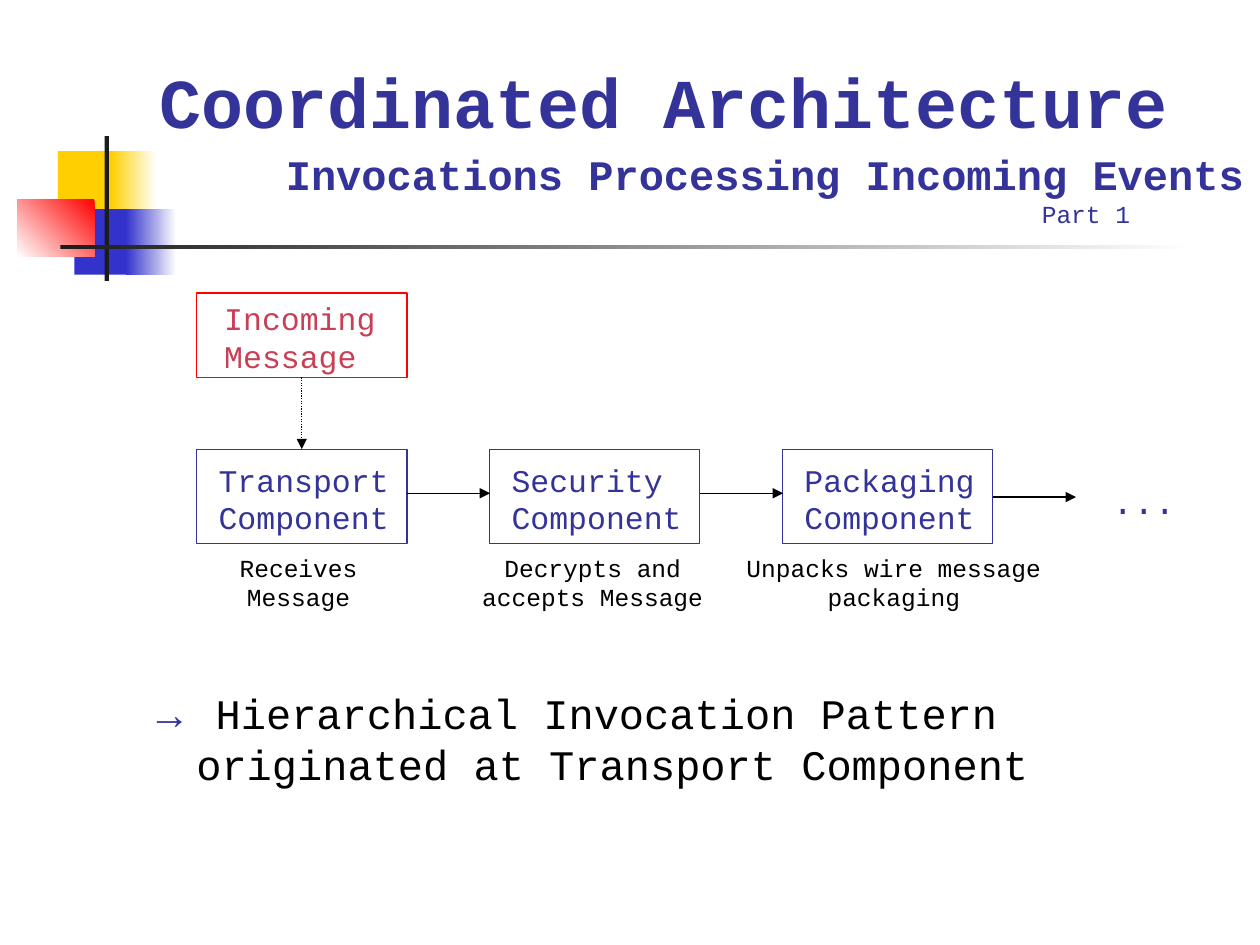
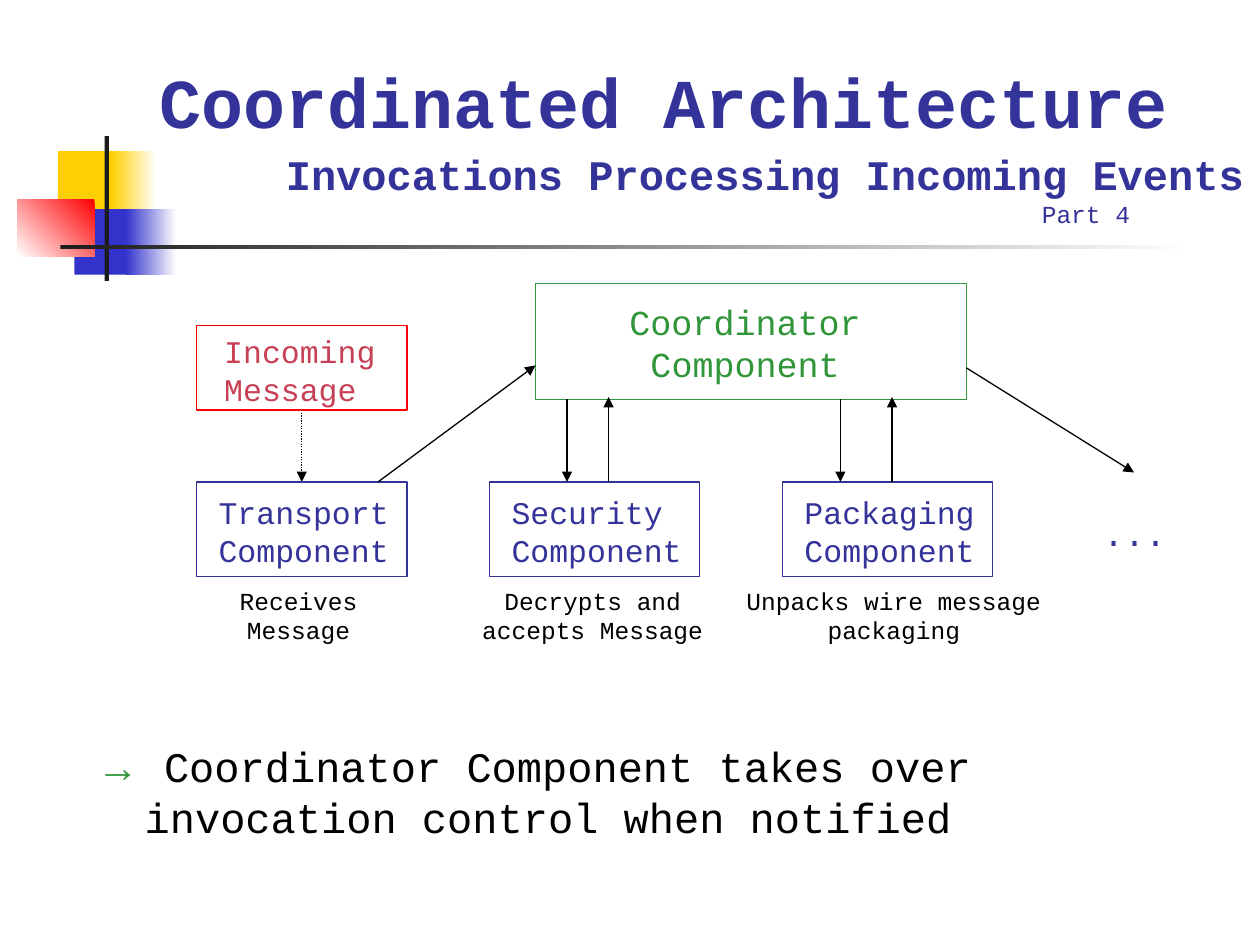
"""Build two slides on invocation processing in a coordinated architecture."""
from dataclasses import dataclass

from lxml import etree
from pptx import Presentation
from pptx import util as u
from pptx.dml.color import RGBColor
from pptx.enum import dml, shapes, text
from pptx.oxml import ns


@dataclass(frozen=True)
class Theme:
    mono: str = "Courier New"
    sans: str = "Arial"
    navy: str = "333399"
    blue: str = "3333CC"
    yellow: str = "FFCF01"
    red: str = "FF0000"
    rose: str = "C84056"
    green: str = "31953A"
    black: str = "000000"
    dark: str = "1C1C1C"
    white: str = "FFFFFF"
    title: int = 40
    body: int = 24
    large: int = 20
    label: int = 18
    small: int = 14
    stroke: float = 0.75


theme = Theme()
deck = Presentation()
deck.slide_width, deck.slide_height = u.Inches(10), u.Inches(7.5)
COL, ROW = deck.slide_width / 100, deck.slide_height / 75


def block(slide, box, paragraphs=(), fill=None, outline=None, insets=(1, 0.5, 1, 0.3),
          anchor=text.MSO_ANCHOR.BOTTOM, align=text.PP_ALIGN.LEFT):
    """Place a box in grid units; fill is (colour, end colour, angle), a run is (text, size, colour, bold, font)."""
    left, top, width, height = box
    place = [int(n) for n in (left * COL, top * ROW, width * COL, height * ROW)]
    if fill or outline:
        shape = slide.shapes.add_shape(shapes.MSO_SHAPE.RECTANGLE, *place)
        shape.shadow.inherit = False
    else:
        shape = slide.shapes.add_textbox(*place)
    if fill and fill[1]:
        shape.fill.gradient()
        shape.fill.gradient_angle = fill[2]
        for stop, colour in zip(shape.fill.gradient_stops, fill):
            stop.color.rgb = RGBColor.from_string(colour)
    elif fill:
        shape.fill.solid()
        shape.fill.fore_color.rgb = RGBColor.from_string(fill[0])
    else:
        shape.fill.background()
    if outline:
        shape.line.color.rgb = RGBColor.from_string(outline)
        shape.line.width = u.Pt(theme.stroke)
    else:
        shape.line.fill.background()
    frame = shape.text_frame
    frame.word_wrap, frame.vertical_anchor = True, anchor
    frame.margin_left, frame.margin_right = int(insets[0] * COL), int(insets[2] * COL)
    frame.margin_top, frame.margin_bottom = int(insets[1] * ROW), int(insets[3] * ROW)
    for index, runs in enumerate(paragraphs):
        paragraph = frame.add_paragraph() if index else frame.paragraphs[0]
        paragraph.alignment = align
        for words, size, colour, bold, font in runs:
            run = paragraph.add_run()
            run.text = words
            run.font.name, run.font.size, run.font.bold = font, u.Pt(size), bold
            run.font.color.rgb = RGBColor.from_string(colour)
    return frame


def arrow(slide, start, end, dotted=False):
    """Draw an arrow between two grid points."""
    ends = [int(n) for x, y in (start, end) for n in (x * COL, y * ROW)]
    connector = slide.shapes.add_connector(shapes.MSO_CONNECTOR.STRAIGHT, *ends)
    connector.line.color.rgb = RGBColor.from_string(theme.black)
    connector.line.width = u.Pt(theme.stroke)
    if dotted:
        connector.line.dash_style = dml.MSO_LINE.ROUND_DOT
    properties = connector._element.spPr
    etree.SubElement(properties.find(ns.qn("a:ln")), ns.qn("a:tailEnd"), type="triangle")
    etree.SubElement(properties, ns.qn("a:effectLst"))


ornaments = [
    ((4.6, 12, 4.8, 5.2), (theme.yellow, None, 0)),
    ((8.8, 12, 3.6, 5.2), (theme.yellow, theme.white, 0)),
    ((5.9, 16.6, 4.6, 5.2), (theme.blue, None, 0)),
    ((10, 16.6, 4, 5.2), (theme.blue, theme.white, 0)),
    ((1.4, 15.8, 6.1, 4.6), (theme.red, theme.white, 225)),
    ((8.3, 10.8, 0.35, 11.5), (theme.dark, None, 0)),
    ((4.8, 19.45, 90, 0.35), (theme.dark, theme.white, 0)),
]
components = [
    ("Transport Component", "Receives Message", 15.8, 15.8),
    ("Security Component", "Decrypts and accepts Message", 35.4, 23.3),
    ("Packaging Component", "Unpacks wire message packaging", 57.6, 26.7),
]
first_column, column_step = 15.6, 23.25
box_width, box_height, message_height = 16.7, 7.5, 6.7
message_middle = first_column + box_width / 2

stages = [
    ("Part 1", 35.65, theme.navy, (10.8, 53.3, 85, 14.6), (85.8, 10),
     "Hierarchical Invocation Pattern originated at Transport Component"),
    ("Part 4", 38.25, theme.green, (6.7, 57.5, 85, 14.4), (84.2, 11.7),
     "Coordinator Component takes over invocation control when notified"),
]

for part, row, accent, conclusion_box, (more_left, more_width), conclusion in stages:
    slide = deck.slides.add_slide(deck.slide_layouts[6])
    for box, fill in ornaments:
        block(slide, box, fill=fill)

    heading = block(slide, (11.7, 5, 90.8, 13.3), [
        [("Coordinated Architecture", theme.title, theme.navy, True, theme.mono)],
        [("Invocations Processing Incoming Events", theme.body, theme.navy, True, theme.mono)],
        [(part, theme.small, theme.navy, False, theme.mono)],
    ], insets=(1, 0.5, 1, 0.2))
    heading.paragraphs[1].space_before = u.Pt(3)
    for paragraph, indent in zip(heading.paragraphs, (0, 10, 70)):
        paragraph._p.get_or_add_pPr().set("marL", str(int(indent * COL)))

    summary = block(slide, conclusion_box, [[
        ("→", theme.body, accent, False, theme.sans),
        (" " + conclusion, theme.body, theme.black, False, theme.mono),
    ]], insets=(1, 1.3, 1, 0.5), anchor=text.MSO_ANCHOR.TOP)
    hanging = summary.paragraphs[0]._p.get_or_add_pPr()
    hanging.set("marL", str(int(3.8 * COL)))
    hanging.set("indent", str(int(-3.8 * COL)))

    message_top = row - 12.4
    block(slide, (first_column, message_top, box_width, message_height),
          [[("Incoming Message", theme.label, theme.rose, False, theme.mono)]],
          outline=theme.red, insets=(2.2, 0, 0.5, 0.2))
    arrow(slide, (message_middle, message_top + message_height), (message_middle, row), dotted=True)

    for index, (name, duty, duty_left, duty_width) in enumerate(components):
        block(slide, (first_column + index * column_step, row, box_width, box_height),
              [[(name, theme.label, theme.navy, False, theme.mono)]],
              outline=theme.navy, insets=(1.75, 0, 0.5, 0.6))
        block(slide, (duty_left, row + box_height, duty_width, 5.7),
              [[(duty, theme.small, theme.black, False, theme.mono)]],
              align=text.PP_ALIGN.CENTER)
    block(slide, (more_left, row + 1.6, more_width, 4.4),
          [[("...", theme.large, theme.navy, False, theme.mono)]],
          align=text.PP_ALIGN.CENTER)

    if part == "Part 1":
        for index in range(len(components)):
            exit_column = first_column + index * column_step + box_width
            level = row + (3.8 if index == 2 else 3.5)
            arrow(slide, (exit_column, level), (exit_column + 6.6, level))
    else:
        block(slide, (42.5, 22.5, 34.2, 9.2),
              [[("Coordinator Component", theme.large, theme.green, False, theme.mono)]],
              outline=theme.green, insets=(1, 0, 1.9, 1.2), align=text.PP_ALIGN.CENTER)
        arrow(slide, (30, row), (42.5, 29))
        for call, reply in ((45, 48.3), (66.7, 70.8)):
            arrow(slide, (call, 31.7), (call, row))
            arrow(slide, (reply, row), (reply, 31.5))
        arrow(slide, (76.7, 29.2), (90, 37.5))

deck.save("out.pptx")
